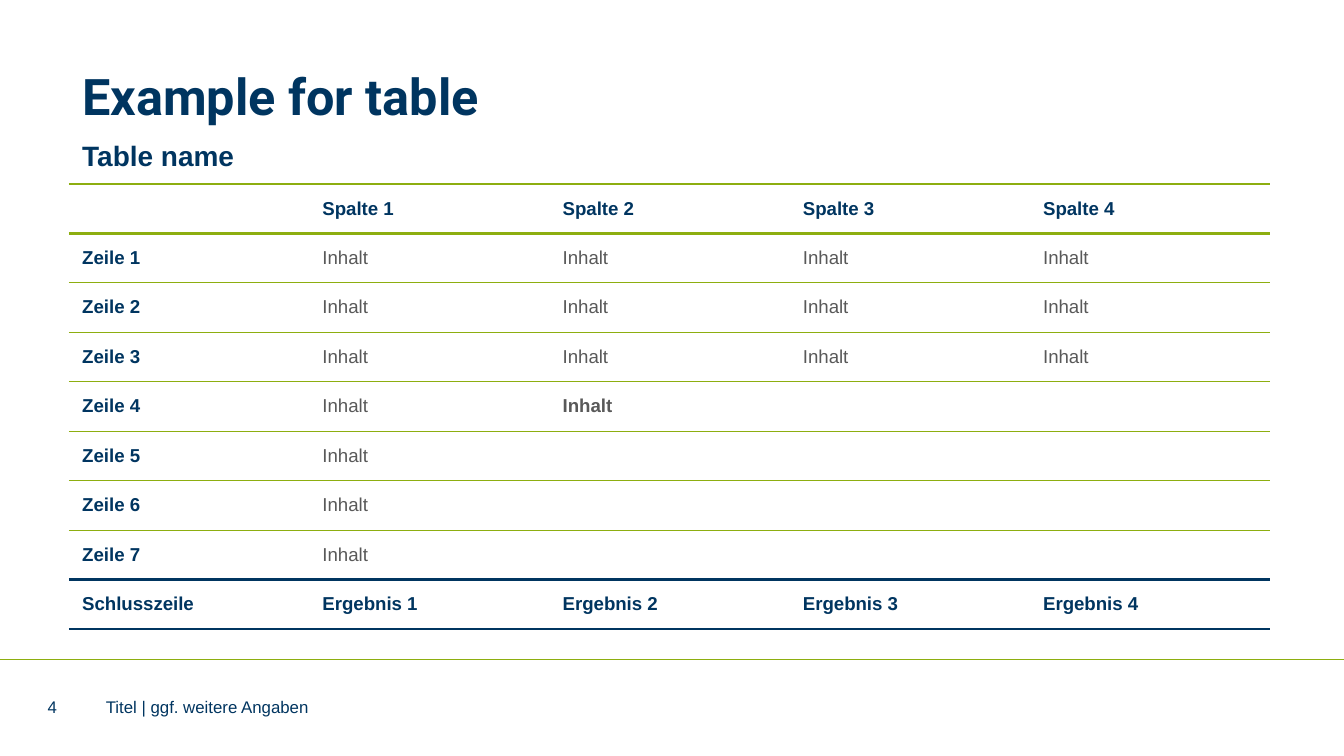
from lxml.etree import SubElement
from pptx import Presentation
from pptx.dml.color import RGBColor
from pptx.enum.shapes import MSO_CONNECTOR
from pptx.enum.text import MSO_ANCHOR, MSO_AUTO_SIZE, PP_ALIGN
from pptx.oxml.ns import qn
from pptx.util import Cm, Pt

NAVY, GREEN, GREY = "003560", "8DAE10", "595959"


def paint(color_format, hex_color):
    color_format.rgb = RGBColor.from_string(hex_color)


def format_text(paragraph, size, hex_color, bold=False, name="Arial"):
    paragraph.alignment = PP_ALIGN.LEFT
    for run in paragraph.runs:
        for key, value in {"size": Pt(size), "bold": bold, "name": name}.items():
            setattr(run.font, key, value)
        paint(run.font.color, hex_color)


deck = Presentation()
deck.slide_width, deck.slide_height = Cm(25.4), Cm(14.29)
slide = deck.slides.add_slide(deck.slide_layouts[5])

footer_rule = slide.shapes.add_connector(
    MSO_CONNECTOR.STRAIGHT, Cm(0), Cm(12.47), Cm(25.4), Cm(12.47))
paint(footer_rule.line.color, GREEN)
footer_rule.line.width = Pt(0.5)
SubElement(footer_rule._element.spPr, qn("a:effectLst"))

heading = slide.shapes.title
place = {"left": Cm(1.3), "top": Cm(1.1), "width": Cm(21), "height": Cm(1.3)}
for key, value in place.items():
    setattr(heading, key, value)
heading.text_frame.text = "Example for table"
heading.text_frame.vertical_anchor = MSO_ANCHOR.TOP
heading.text_frame.auto_size = MSO_AUTO_SIZE.NONE
format_text(heading.text_frame.paragraphs[0], 27, NAVY, True, "Roboto")

for left, width, words in [(2, 17.5, "Titel | ggf. weitere Angaben"), (0.9, 0.7, "4")]:
    footer = slide.shapes.add_textbox(Cm(left), Cm(13.21), Cm(width), Cm(0.3)).text_frame
    frame = {"margin_left": 0, "margin_right": 0, "margin_top": 0, "margin_bottom": 0,
             "word_wrap": True, "vertical_anchor": MSO_ANCHOR.MIDDLE}
    for key, value in frame.items():
        setattr(footer, key, value)
    footer.text = words
    format_text(footer.paragraphs[0], 9, NAVY)

filled_cells = [4, 4, 4, 2, 1, 1, 1]
rows = [["Table name"], [""] + [f"Spalte {n}" for n in range(1, 5)]]
rows += [[f"Zeile {n}"] + ["Inhalt"] * count for n, count in enumerate(filled_cells, 1)]
rows += [["Schlusszeile"] + [f"Ergebnis {n}" for n in range(1, 5)]]
rules = [None] + [(GREEN, 1.5)] * 2 + [(GREEN, 0.5)] * 6 + [(NAVY, 1.5)] * 2

table = slide.shapes.add_table(
    len(rows), 5, Cm(1.3), Cm(2.54), Cm(22.7), Cm(9.35)).table
table.first_row = table.horz_banding = False
table.cell(0, 0).merge(table.cell(0, 4))

for r, row in enumerate(rows):
    for c in range(5):
        cell = table.cell(r, c)
        words = row[c] if c < len(row) else ""
        paragraph = cell.text_frame.paragraphs[0]
        if words:
            is_content = words == "Inhalt"
            paragraph.add_run().text = words
            format_text(paragraph, 10 if r else 15, GREY if is_content else NAVY,
                        not is_content or (r, c) == (5, 2))
        else:
            SubElement(paragraph._p, qn("a:endParaRPr"), sz="1000")
        cell.vertical_anchor = MSO_ANCHOR.MIDDLE if r else MSO_ANCHOR.TOP
        borders = {"a:lnL": None, "a:lnR": None, "a:lnT": rules[r], "a:lnB": rules[r + 1]}
        for side, rule in borders.items():
            edge = SubElement(cell._tc.get_or_add_tcPr(), qn(side))
            if rule:
                edge.set("w", str(Pt(rule[1])))
                SubElement(SubElement(edge, qn("a:solidFill")), qn("a:srgbClr"), val=rule[0])
            else:
                SubElement(edge, qn("a:noFill"))
        cell.fill.background()

deck.save("out.pptx")
